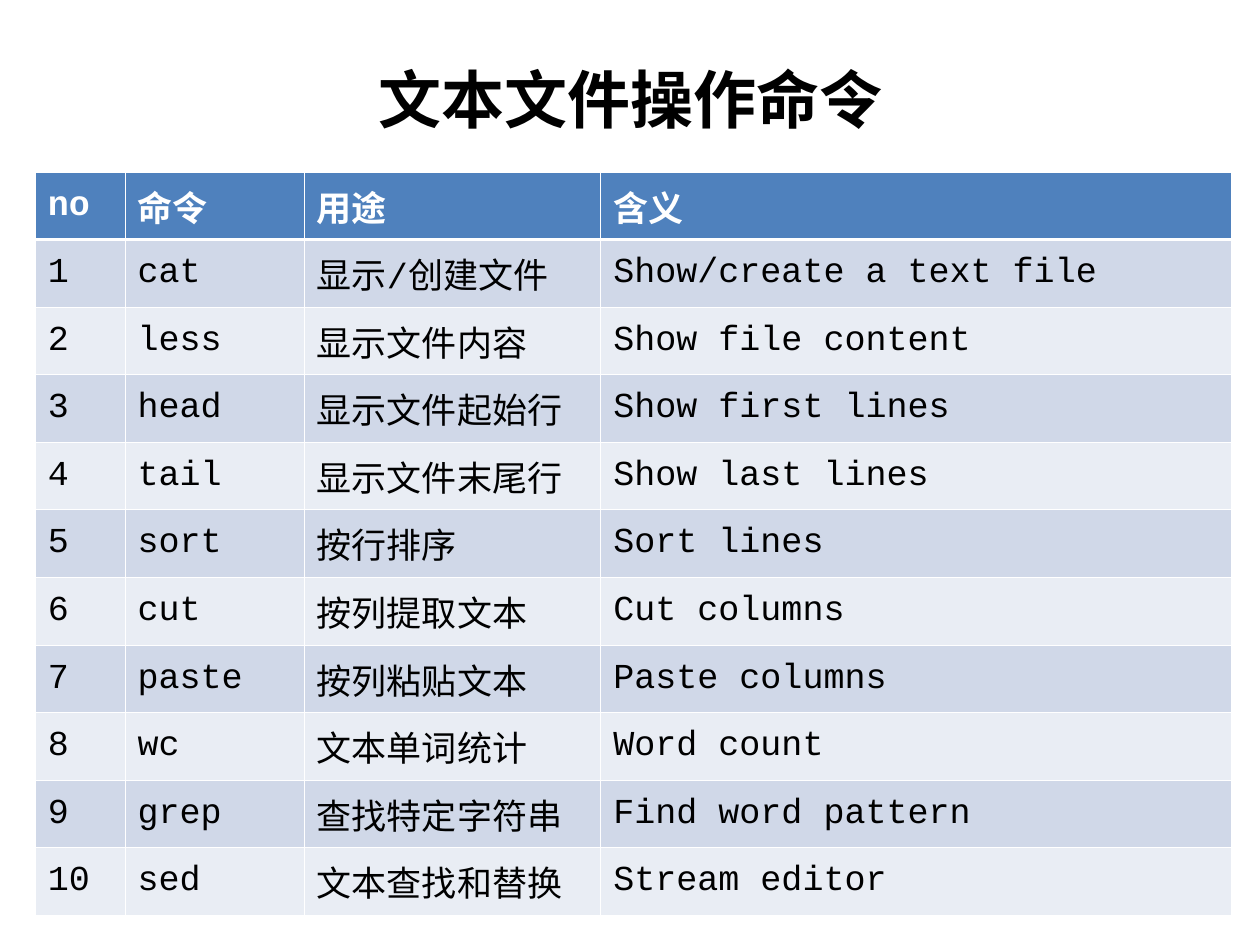
from dataclasses import dataclass

from lxml.etree import SubElement
from pptx import Presentation
from pptx.dml.color import RGBColor
from pptx.enum.text import MSO_ANCHOR, MSO_AUTO_SIZE, PP_ALIGN
from pptx.oxml.ns import qn
from pptx.util import Inches, Pt


@dataclass(frozen=True)
class Theme:
    """Colours, fonts and sizes of the deck."""
    ink: str = "000000"
    paper: str = "FFFFFF"
    header: str = "4F81BD"
    bands: tuple = ("D0D8E8", "E9EDF4")
    title_font: str = "Arial"
    table_font: str = "Courier New"
    title_size: float = 36
    table_size: float = 20
    thin: float = 0.45
    thick: float = 1.47


THEME = Theme()
WIDTH, HEIGHT = Inches(10), Inches(7.5)
TITLE = "文本文件操作命令"
HEADINGS = ("no", "命令", "用途", "含义")
COLUMN_SHARES = (0.075, 0.15, 0.248, 0.527)
COMMANDS = (
    ("cat", "显示/创建文件", "Show/create a text file"),
    ("less", "显示文件内容", "Show file content"),
    ("head", "显示文件起始行", "Show first lines"),
    ("tail", "显示文件末尾行", "Show last lines"),
    ("sort", "按行排序", "Sort lines"),
    ("cut", "按列提取文本", "Cut columns"),
    ("paste", "按列粘贴文本", "Paste columns"),
    ("wc", "文本单词统计", "Word count"),
    ("grep", "查找特定字符串", "Find word pattern"),
    ("sed", "文本查找和替换", "Stream editor"),
)


def set_all(target, values):
    """Set every named attribute on the target."""
    for name, value in values.items():
        setattr(target, name, value)


def page_box(left, top, width, height):
    """Turn shares of the page into a box of lengths."""
    return (round(WIDTH * left), round(HEIGHT * top),
            round(WIDTH * width), round(HEIGHT * height))


def write(para, text, color, **font_values):
    """Add one formatted span to a paragraph."""
    span = para.add_run()
    span.text = text
    set_all(span.font, font_values)
    span.font.color.rgb = RGBColor.from_string(color)


def draw_borders(cell, widths):
    """Give the cell paper-coloured borders of the given point widths."""
    properties = cell._tc.get_or_add_tcPr()
    for side, width in widths.items():
        line = SubElement(properties, qn(f"a:ln{side}"), w=str(Pt(width)))
        fill = SubElement(line, qn("a:solidFill"))
        SubElement(fill, qn("a:srgbClr"), val=THEME.paper)


def add_title(page, box):
    """Place the heading in the title placeholder."""
    title = page.shapes.title
    set_all(title, dict(zip(("left", "top", "width", "height"), box)))
    frame = title.text_frame
    set_all(frame, {
        "word_wrap": True, "auto_size": MSO_AUTO_SIZE.NONE,
        "vertical_anchor": MSO_ANCHOR.MIDDLE,
        "margin_left": Inches(0.14), "margin_right": Inches(0.14),
        "margin_top": Inches(0.08), "margin_bottom": Inches(0.08),
    })
    para = frame.paragraphs[0]
    set_all(para, {"alignment": PP_ALIGN.CENTER, "space_before": Pt(10)})
    write(para, TITLE, THEME.ink, name=THEME.title_font,
          size=Pt(THEME.title_size), bold=True)


def fill_cell(cell, text, row):
    """Write and style one cell according to its row."""
    is_header = row == 0
    draw_borders(cell, {
        "L": THEME.thin, "R": THEME.thin,
        "T": THEME.thick if row == 1 else THEME.thin,
        "B": THEME.thick if is_header else THEME.thin,
    })
    background = THEME.header if is_header else THEME.bands[(row - 1) % 2]
    cell.fill.solid()
    cell.fill.fore_color.rgb = RGBColor.from_string(background)
    cell.vertical_anchor = MSO_ANCHOR.MIDDLE
    write(cell.text_frame.paragraphs[0], text,
          THEME.paper if is_header else THEME.ink, name=THEME.table_font,
          size=Pt(THEME.table_size), bold=is_header)


def add_command_table(page, box):
    """Place the numbered commands in an even grid of rows."""
    numbered = [(str(number), *command)
                for number, command in enumerate(COMMANDS, 1)]
    rows = [HEADINGS, *numbered]
    table = page.shapes.add_table(len(rows), len(HEADINGS), *box).table
    for column, share in zip(table.columns, COLUMN_SHARES):
        column.width = round(box[2] * share)
    for row, texts in enumerate(rows):
        for column, text in enumerate(texts):
            fill_cell(table.cell(row, column), text, row)


def main():
    """Build and save the deck."""
    deck = Presentation()
    set_all(deck, {"slide_width": WIDTH, "slide_height": HEIGHT})
    page = deck.slides.add_slide(deck.slide_layouts.get_by_name("Title Only"))
    add_title(page, page_box(0.028, 0.052, 0.945, 0.105))
    add_command_table(page, page_box(0.028, 0.182, 0.949, 0.787))
    deck.save("out.pptx")


if __name__ == "__main__":
    main()
